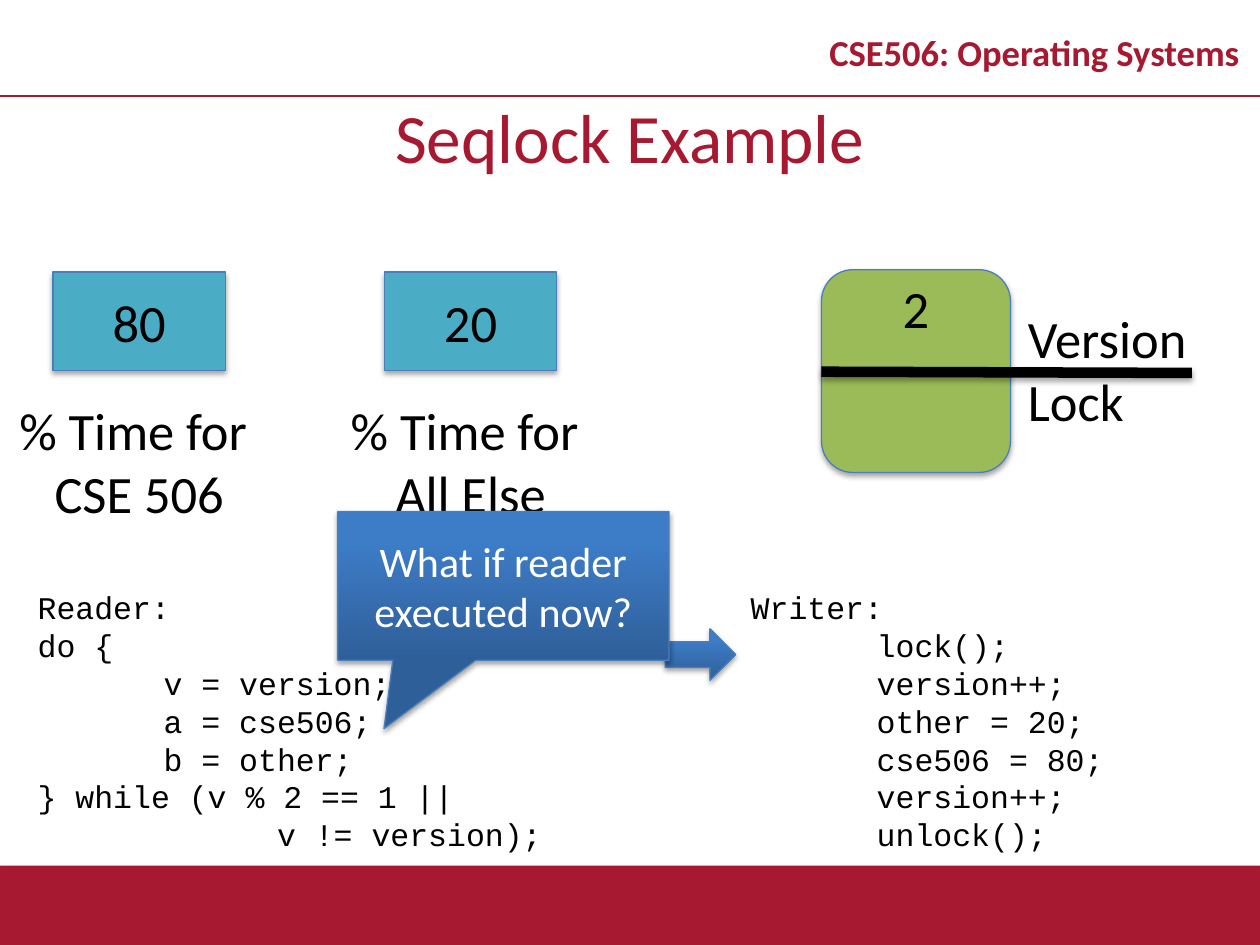
from lxml import etree
from pptx import Presentation
from pptx.dml.color import RGBColor
from pptx.enum.shapes import MSO_CONNECTOR, MSO_SHAPE
from pptx.enum.text import MSO_ANCHOR, PP_ALIGN
from pptx.oxml import parse_xml
from pptx.oxml.ns import nsdecls, qn
from pptx.util import Inches, Pt

LEFT, CENTER = PP_ALIGN.LEFT, PP_ALIGN.CENTER
TOP, MIDDLE = MSO_ANCHOR.TOP, MSO_ANCHOR.MIDDLE
RECT, ROUNDED = MSO_SHAPE.RECTANGLE, MSO_SHAPE.ROUNDED_RECTANGLE
ARROW, CALLOUT = MSO_SHAPE.RIGHT_ARROW, MSO_SHAPE.RECTANGULAR_CALLOUT
STRAIGHT = MSO_CONNECTOR.STRAIGHT
CRIMSON, BLACK, WHITE = "A71930", "000000", "FFFFFF"
TEAL, GREEN, BORDER = "4BACC6", "9BBB59", "4B7EBC"
BLUE_DARK, BLUE_LIGHT = "2F5F99", "3D7CC7"

READER = """Reader:
do {
\tv = version;
\ta = cse506;
\tb = other;
} while (v % 2 == 1 ||\v\t      v != version);"""
WRITER = """Writer:
\tlock();
\tversion++;
\tother = 20;
\tcse506 = 80;
\tversion++;
\tunlock();"""


def color(hex_string):
    """Return the colour for a hex string."""
    return RGBColor.from_string(hex_string)


def add_effects(s, shadow=True):
    """Give an element a soft downward shadow, or none."""
    sp_pr = s._element.spPr
    for old in sp_pr.findall(qn("a:effectLst")):
        sp_pr.remove(old)
    effects = etree.SubElement(sp_pr, qn("a:effectLst"))
    if shadow:
        effects.append(parse_xml(
            f'<a:outerShdw {nsdecls("a")} blurRad="{Pt(3.1)}" dist="{Pt(1.8)}" '
            'dir="5400000" rotWithShape="0"><a:srgbClr val="000000">'
            '<a:alpha val="35000"/></a:srgbClr></a:outerShdw>'))


def set_text(s, text, size, hex_string=BLACK, align=CENTER, anchor=MIDDLE,
             font="Calibri", bold=False, wrap=True):
    """Write and format the text of an element."""
    tf = s.text_frame
    tf.text = text
    tf.word_wrap = wrap
    tf.vertical_anchor = anchor
    for p in tf.paragraphs:
        p.alignment = align
        for r in p.runs:
            r.font.name = font
            r.font.size = Pt(size)
            r.font.bold = bold
            r.font.color.rgb = color(hex_string)


def add_text(slide, box, text, size, **style):
    """Add a text box."""
    s = slide.shapes.add_textbox(*map(Inches, box))
    set_text(s, text, size, **style)
    return s


def add_shape(slide, kind, box, fill=None, line=BORDER):
    """Add a shadowed shape, with the blue gradient if no fill is given."""
    s = slide.shapes.add_shape(kind, *map(Inches, box))
    if fill:
        s.fill.solid()
        s.fill.fore_color.rgb = color(fill)
    else:
        s.fill.gradient()
        s.fill.gradient_angle = 90
        for stop, position, shade in zip(s.fill.gradient_stops, (0, 0.8),
                                         (BLUE_DARK, BLUE_LIGHT)):
            stop.position = position
            stop.color.rgb = color(shade)
    if line:
        s.line.color.rgb = color(line)
        s.line.width = Pt(0.75)
    else:
        s.line.fill.background()
    add_effects(s)
    return s


def add_line(slide, ends, hex_string, width, shadow=False):
    """Add a straight line."""
    s = slide.shapes.add_connector(STRAIGHT, *map(Inches, ends))
    s.line.color.rgb = color(hex_string)
    s.line.width = Pt(width)
    add_effects(s, shadow)


def add_frame(slide):
    """Add the footer band, header rule, course name and title."""
    add_shape(slide, RECT, (0, 6.87, 10, 0.63), CRIMSON, None)
    add_line(slide, (0, 0.76, 10, 0.76), CRIMSON, 1)
    course = add_text(slide, (6.42, 0.13, 3.58, 0.63), "CSE506: Operating Systems",
                      20.9, hex_string=CRIMSON, bold=True)
    course.text_frame.paragraphs[0].line_spacing = 0.8
    add_text(slide, (0, 0.76, 10, 0.63), "Seqlock Example", 39.6,
             hex_string=CRIMSON)


def add_variable(slide, left, value, label):
    """Add a value box with its label below."""
    add_text(slide, (left, 3.11, 2.21, 1.11), label, 30, anchor=TOP, wrap=False)
    s = add_shape(slide, RECT, (left + 0.42, 2.16, 1.37, 0.78), TEAL)
    set_text(s, value, 30)


def add_seqlock(slide):
    """Add the lock with its version and lock halves."""
    add_text(slide, (8.06, 2.38, 1.55, 1.11), "Version\vLock", 30,
             align=LEFT, anchor=TOP, wrap=False)
    s = add_shape(slide, ROUNDED, (6.52, 2.14, 1.5, 1.61), GREEN)
    set_text(s, "2", 30, anchor=TOP)
    s.text_frame.margin_top = Inches(-0.02)
    add_line(slide, (6.52, 2.95, 9.46, 2.96), BLACK, 6, shadow=True)


def add_code(slide, left, width, code):
    """Add a code listing with a tab stop at one inch."""
    s = add_text(slide, (left, 4.62, width, 2.22), code, 18, align=LEFT,
                 anchor=TOP, font="Courier New")
    for p in s.text_frame.paragraphs:
        tabs = etree.SubElement(p._p.get_or_add_pPr(), qn("a:tabLst"))
        etree.SubElement(tabs, qn("a:tab"), pos=str(Inches(1)), algn="l")


def add_callout(slide):
    """Add the question pointing into the reader code."""
    s = add_shape(slide, CALLOUT, (2.68, 4.06, 2.63, 1.18))
    s.adjustments[0] = -0.36
    s.adjustments[1] = 0.96
    set_text(s, "What if reader executed now?", 24, WHITE)


def main():
    """Build and save the slide."""
    prs = Presentation()
    prs.slide_width, prs.slide_height = Inches(10), Inches(7.5)
    slide = prs.slides.add_slide(prs.slide_layouts[6])
    add_frame(slide)
    add_variable(slide, 0, "80", "% Time for \vCSE 506")
    add_variable(slide, 2.63, "20", "% Time for \vAll Else")
    add_code(slide, 0.2, 5.19, READER)
    add_code(slide, 5.86, 4.01, WRITER)
    add_shape(slide, ARROW, (5.28, 4.99, 0.56, 0.41))
    add_seqlock(slide)
    add_callout(slide)
    prs.save("out.pptx")


if __name__ == "__main__":
    main()
